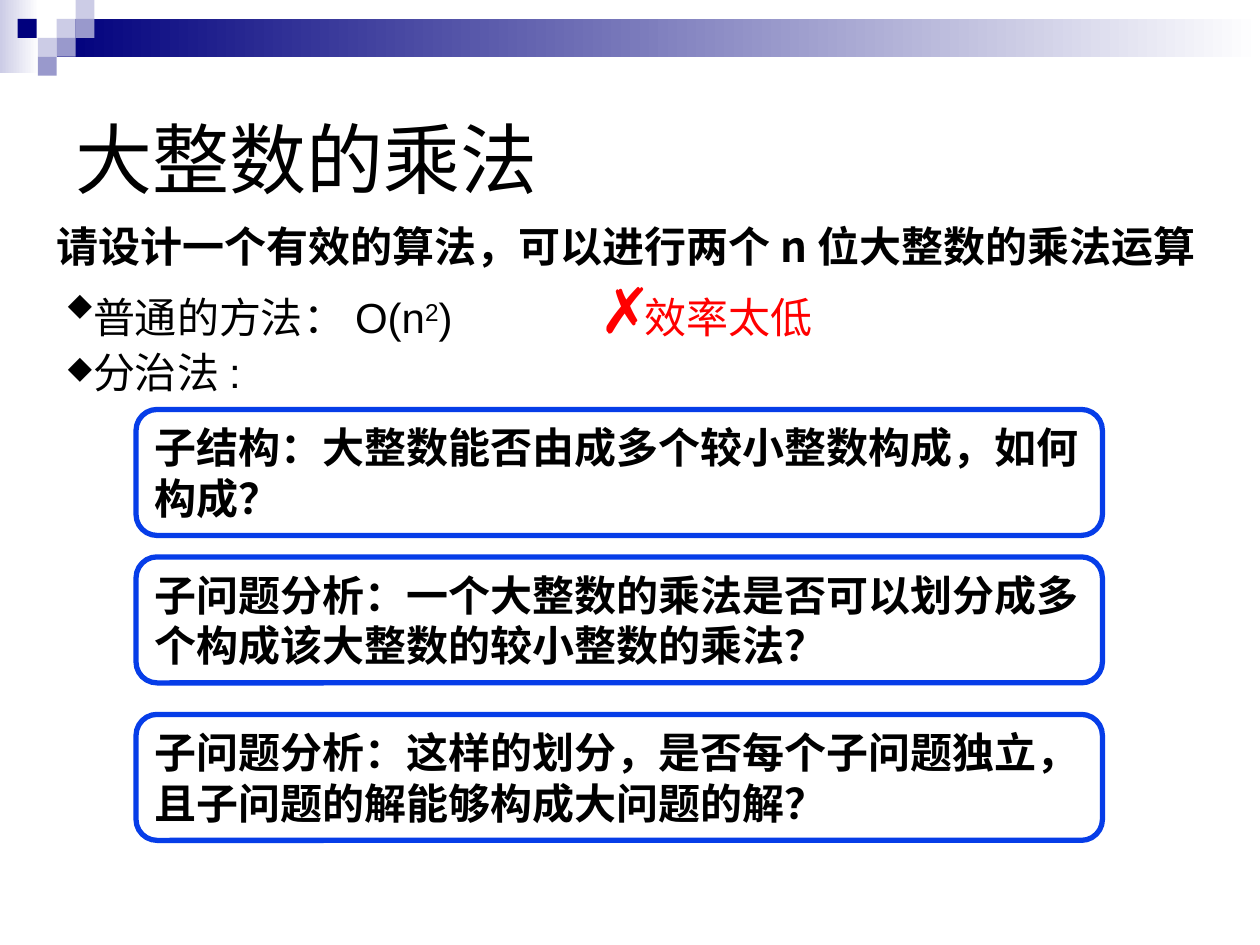
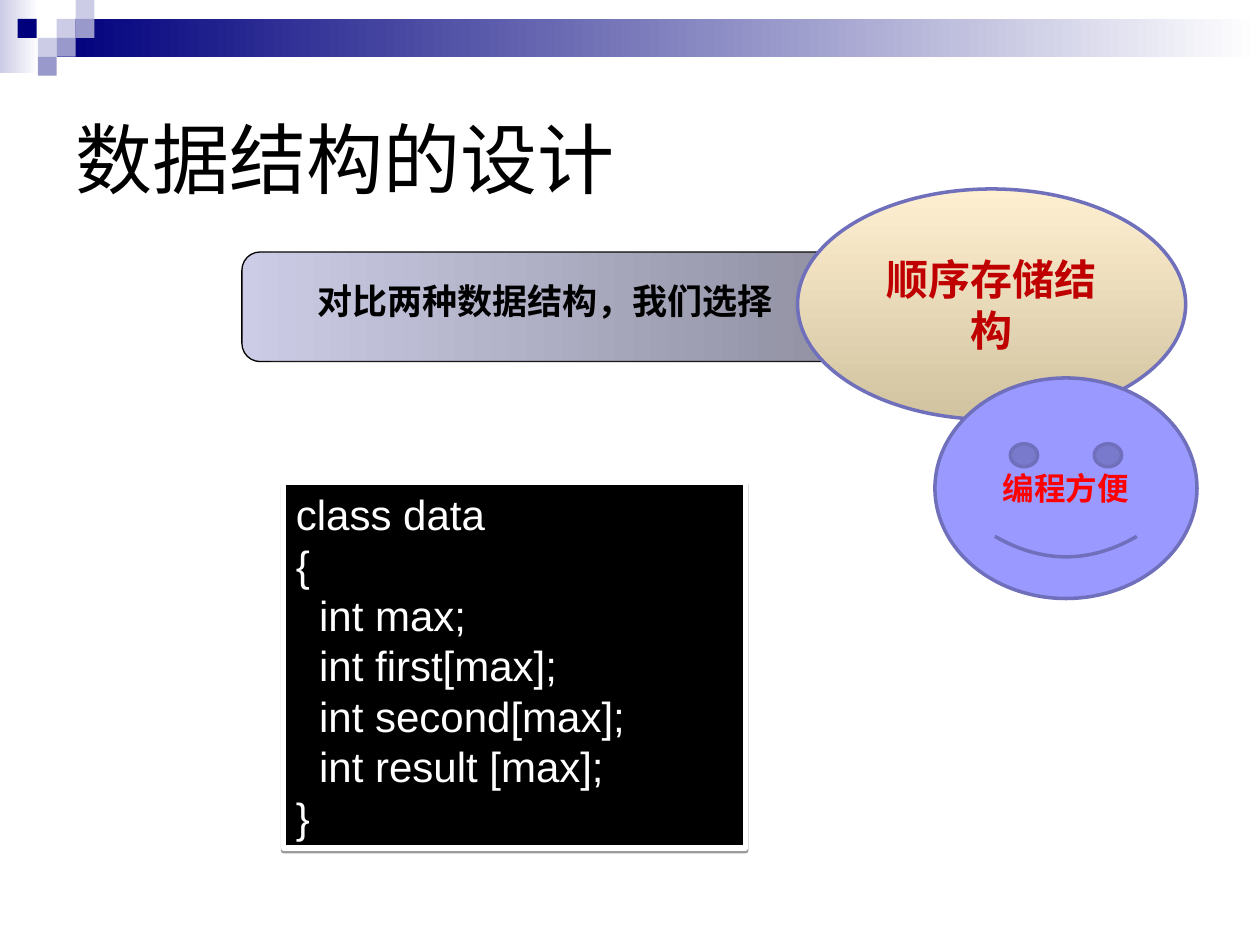
from lxml import etree
from pptx import Presentation
from pptx.dml.color import RGBColor
from pptx.enum.shapes import MSO_CONNECTOR, MSO_SHAPE
from pptx.enum.text import MSO_ANCHOR, PP_ALIGN
from pptx.oxml.ns import qn
from pptx.util import Inches, Pt

RECT, ROUND = MSO_SHAPE.RECTANGLE, MSO_SHAPE.ROUNDED_RECTANGLE
ELLIPSE, SMILEY = MSO_SHAPE.OVAL, MSO_SHAPE.SMILEY_FACE
STRAIGHT = MSO_CONNECTOR.STRAIGHT
TOP, MIDDLE = MSO_ANCHOR.TOP, MSO_ANCHOR.MIDDLE
LEFT, CENTER = PP_ALIGN.LEFT, PP_ALIGN.CENTER

BLACK, WHITE = RGBColor(0, 0, 0), RGBColor(255, 255, 255)
RED, DARK_RED = RGBColor(255, 0, 0), RGBColor(0xC0, 0, 0)
NAVY, BLUE = RGBColor(0, 0, 0x7D), RGBColor(0x06, 0x3D, 0xE8)
LILAC, MAUVE = RGBColor(0xCC, 0xCC, 0xE6), RGBColor(0x99, 0x99, 0xCC)
VIOLET, EDGE = RGBColor(0x99, 0x99, 0xFF), RGBColor(0x6F, 0x6F, 0xBC)
GREY, CREAM, SAND = (RGBColor(0x87, 0x87, 0x98), RGBColor(0xFF, 0xEF, 0xD1),
                     RGBColor(0xD1, 0xC3, 0x9F))
LATIN, CJK = "Arial", "Noto Sans CJK SC"

# Header band: left, top, width, height, fill (a pair is a gradient)
SQUARE = 0.15
BAND = [(0, 0, 0.31, 0.58, (LILAC, WHITE)), (0.45, 0.15, 9.55, 0.3, (NAVY, WHITE))] + [
    (x, y, SQUARE, SQUARE, colour) for x, y, colour in [
        (0.45, 0.15, LILAC), (0.6, 0, LILAC), (0.6, 0.15, MAUVE), (0.3, 0.3, LILAC),
        (0.14, 0.15, NAVY), (0.45, 0.3, MAUVE), (0.3, 0.45, MAUVE)]]

TASK = "请设计一个有效的算法，可以进行两个n位大整数的乘法运算"
# Each run: text, size, colour, bold, superscript
METHODS = [
    [("普通的方法：O(n", 24, BLACK, False, False), ("2", 24, BLACK, False, True),
     (")\t", 24, BLACK, False, False), ("✗", 36, RED, True, False),
     ("效率太低", 24, RED, False, False)],
    [("分治法:", 24, BLACK, False, False)],
]
QUESTIONS = [
    (3.25, "子结构：大整数能否由成多个较小整数构成，如何构成？"),
    (4.42, "子问题分析：一个大整数的乘法是否可以划分成多个构成该大整数的较小整数的乘法？"),
    (5.67, "子问题分析：这样的划分，是否每个子问题独立，且子问题的解能够构成大问题的解？"),
]
CODE = """class data
{
  int max;
  int first[max];
  int second[max];
  int result [max];
}"""


def add_xml(parent, tag, **attrs):
    return etree.SubElement(parent, qn(tag), attrs)


def style_run(r, size, colour, bold=False, latin=LATIN):
    r.font.size, r.font.bold, r.font.name = Pt(size), bold, latin
    r.font.color.rgb = colour
    add_xml(r.font._element, "a:ea", typeface=CJK)


def write(sp, text, size, colour=BLACK, bold=False, latin=LATIN, align=LEFT, anchor=TOP):
    tf = sp.text_frame
    tf.word_wrap, tf.vertical_anchor = True, anchor
    tf.text = text
    for p in tf.paragraphs:
        p.alignment = align
        for r in p.runs:
            style_run(r, size, colour, bold, latin)


def add_box(s, kind, at, fill, line=None, width=0, angle=0):
    """Add a preset shape; a pair of colours as fill makes a linear gradient."""
    sp = s.shapes.add_shape(kind, *map(Inches, at))
    sp.shadow.inherit = False
    if isinstance(fill, tuple) and not isinstance(fill, RGBColor):
        sp.fill.gradient()
        sp.fill.gradient_angle = angle
        for stop, colour, position in zip(sp.fill.gradient_stops, fill, (0, 1)):
            stop.color.rgb, stop.position = colour, position
    else:
        sp.fill.solid()
        sp.fill.fore_color.rgb = fill
    if line is None:
        sp.line.fill.background()
    else:
        sp.line.color.rgb, sp.line.width = line, Pt(width)
    return sp


def add_text(s, at, text, size, **style):
    write(s.shapes.add_textbox(*map(Inches, at)), text, size, **style)


def add_faint_line(s, x1, x2, y, opacity):
    line = s.shapes.add_connector(STRAIGHT, *map(Inches, (x1, y, x2, y)))
    line.line.color.rgb, line.line.width = WHITE, Pt(0.25)
    colour = line.element.spPr.find(".//" + qn("a:srgbClr"))
    add_xml(colour, "a:alpha", val=str(opacity * 1000))
    add_xml(line.element.spPr, "a:effectLst")


def add_drop_shadow(sp):
    effects = sp.element.spPr.find(qn("a:effectLst"))
    shadow = add_xml(effects, "a:outerShdw", blurRad="0", dist=str(Pt(1.6)),
                     dir="5400000", rotWithShape="0")
    add_xml(add_xml(shadow, "a:srgbClr", val=str(BLACK)), "a:alpha", val="38000")


def add_band_to_master(prs, s):
    """Draw the band on a slide, then move it behind everything on the master."""
    tree = prs.slide_master.shapes.element
    for i, (*at, fill) in enumerate(BAND):
        element = add_box(s, RECT, at, fill).element
        element.nvSpPr.cNvPr.set("id", str(100 + i))
        tree.insert(2 + i, element)


def add_slide(prs, title):
    s = prs.slides.add_slide(prs.slide_layouts[5])
    sp = s.shapes.title
    sp.left, sp.top, sp.width, sp.height = map(Inches, (0.5, 0.5, 9, 1.5))
    write(sp, title, 44, anchor=MIDDLE)
    return s


def add_methods(s):
    tf = s.shapes.add_textbox(*map(Inches, (0.44, 2.1, 6.4, 1.1))).text_frame
    tf.word_wrap = True
    for i, runs in enumerate(METHODS):
        p = tf.paragraphs[0] if i == 0 else tf.add_paragraph()
        pPr = p._p.get_or_add_pPr()
        pPr.set("marL", str(Inches(0.2)))
        pPr.set("indent", str(-Inches(0.2)))
        add_xml(add_xml(pPr, "a:buClr"), "a:srgbClr", val=str(BLACK))
        add_xml(pPr, "a:buSzPct", val="75000")
        add_xml(pPr, "a:buChar", char="◆")
        add_xml(add_xml(pPr, "a:tabLst"), "a:tab", pos=str(Inches(4.22)), algn="l")
        for text, size, colour, bold, raised in runs:
            r = p.add_run()
            r.text = text
            style_run(r, size, colour, bold)
            if raised:
                r.font._element.set("baseline", "30000")


def multiplication_slide(prs):
    s = add_slide(prs, "大整数的乘法")
    add_band_to_master(prs, s)
    add_text(s, (0.35, 1.7, 9.37, 0.5), TASK, 24, bold=True, latin=CJK)
    add_methods(s)
    for top, question in QUESTIONS:
        sp = add_box(s, ROUND, (1.08, top, 7.67, 1), WHITE, BLUE, 3)
        write(sp, question, 24, bold=True)


def data_structure_slide(prs):
    s = add_slide(prs, "数据结构的设计")
    add_box(s, ROUND, (1.92, 2, 5.5, 0.87), (LILAC, GREY), BLACK, 0.75)
    for y, opacity in ((2.87, 15), (2, 25)):
        add_faint_line(s, 2.15, 7.28, y, opacity)
    add_text(s, (2.42, 2.17, 4.25, 0.44), "对比两种数据结构，我们选择", 20, bold=True)

    choice = add_box(s, ELLIPSE, (6.33, 1.5, 3.08, 1.83), (CREAM, SAND), EDGE, 2, angle=270)
    write(choice, "顺序存储结构", 24, DARK_RED, True, CJK, CENTER, MIDDLE)

    code = add_box(s, RECT, (2.25, 3.83, 3.67, 2.9), BLACK, WHITE, 3)
    add_drop_shadow(code)
    write(code, CODE, 24, WHITE)

    smiley = add_box(s, SMILEY, (7.42, 3, 2.08, 1.75), VIOLET, EDGE, 2)
    write(smiley, "编程方便", 18, RED, True, align=CENTER, anchor=MIDDLE)


def main():
    prs = Presentation()
    prs.slide_width, prs.slide_height = Inches(10), Inches(7.5)
    multiplication_slide(prs)
    data_structure_slide(prs)
    prs.save("out.pptx")


if __name__ == "__main__":
    main()
